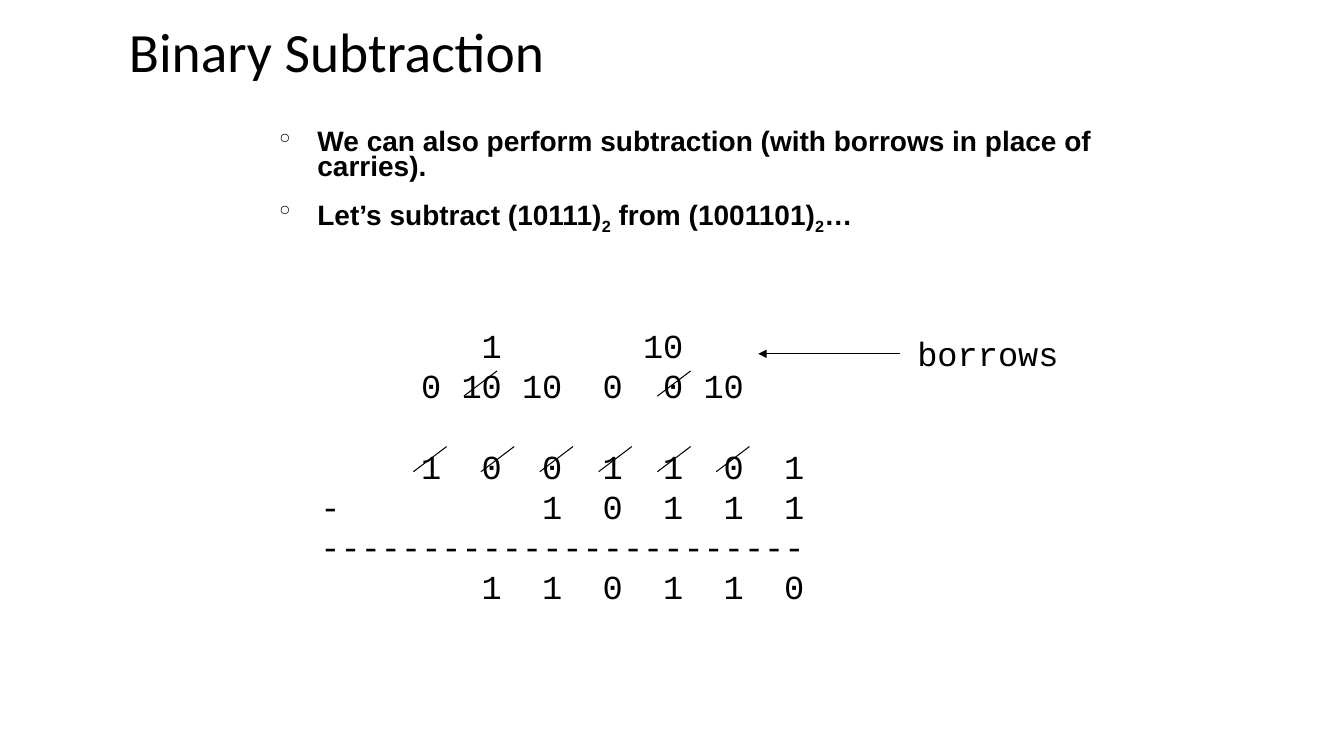
from dataclasses import dataclass

from lxml.etree import SubElement
from pptx import Presentation
from pptx.dml.color import RGBColor
from pptx.enum.shapes import MSO_CONNECTOR as Connector
from pptx.enum.text import MSO_ANCHOR as Anchor
from pptx.oxml.ns import qn
from pptx.util import Inches, Pt

BLACK = "000000"
CHARACTER_WIDTH = 0.2  # one 24 pt Courier New character, in inches
DIGIT_ENDS = range(6, 25, 3)  # character position where each digit column ends
STRIKE_WIDTH, STRIKE_HEIGHT = 0.33, 0.25


@dataclass(frozen=True)
class TextStyle:
    font: str
    size: float
    bold: bool = False


@dataclass(frozen=True)
class Box:
    left: float
    top: float
    width: float
    height: float
    wrap: bool = True


@dataclass(frozen=True)
class StrikeRow:
    top: float
    lefts: tuple[float, ...]


TITLE = TextStyle("Calibri", 39.6)
BODY = TextStyle("Arial", 20, bold=True)
MONO = TextStyle("Courier New", 24)

# Odd pieces are subscripts
BULLETS = (
    ("We can also perform subtraction (with borrows in place of carries).",),
    ("Let’s subtract (10111)", "2", " from (1001101)", "2", "…"),
)
BORROW_ROWS = ("\t\t1\t\t\t10", "\t0\t10\t10\t0\t0\t10")
SUM_ROWS = (
    "\t1\t0\t0\t1\t1\t0\t1",
    "-\t\t\t1\t0\t1\t1\t1",
    "-" * 24,
    "\t\t1\t1\t0\t1\t1\t0",
)
STRIKE_ROWS = (
    StrikeRow(3.68, (4.6, 6.52)),
    StrikeRow(4.43, (4.1, *(4.77 + 7 / 12 * step for step in range(5)))),
)


def color(value: str) -> RGBColor:
    return RGBColor.from_string(value)


def style_run(run, style: TextStyle) -> None:
    run.font.name = style.font
    run.font.size = Pt(style.size)
    run.font.bold = style.bold
    run.font.color.rgb = color(BLACK)


def add_text(slide, box: Box, lines: tuple[str, ...], style: TextStyle):
    shape = slide.shapes.add_textbox(
        Inches(box.left), Inches(box.top), Inches(box.width), Inches(box.height))
    text_frame = shape.text_frame
    text_frame.word_wrap = box.wrap
    text_frame.text = "\n".join(lines)
    for paragraph in text_frame.paragraphs:
        for run in paragraph.runs:
            style_run(run, style)
    return text_frame


def add_bullet(paragraph, pieces: tuple[str, ...]) -> None:
    properties = paragraph._p.get_or_add_pPr()
    properties.set("marL", str(Inches(0.38)))
    properties.set("indent", str(-Inches(0.38)))
    SubElement(properties, qn("a:buChar")).set("char", "°")
    paragraph.line_spacing = 0.75
    for index, piece in enumerate(pieces):
        run = paragraph.add_run()
        run.text = piece
        style_run(run, BODY)
        if index % 2:
            run.font._element.set("baseline", "-25000")


def add_digit_tabs(paragraph) -> None:
    tabs = SubElement(paragraph._p.get_or_add_pPr(), qn("a:tabLst"))
    for end in DIGIT_ENDS:
        tab = SubElement(tabs, qn("a:tab"))
        tab.set("pos", str(Inches(end * CHARACTER_WIDTH)))
        tab.set("algn", "r")


def add_line(slide, x1: float, y1: float, x2: float, y2: float, arrow: bool = False) -> None:
    connector = slide.shapes.add_connector(
        Connector.STRAIGHT, Inches(x1), Inches(y1), Inches(x2), Inches(y2))
    connector.line.color.rgb = color(BLACK)
    connector.line.width = Pt(0.75)
    if arrow:
        SubElement(connector.line._get_or_add_ln(), qn("a:tailEnd")).set("type", "triangle")
    SubElement(connector._element.spPr, qn("a:effectLst"))


def main() -> None:
    presentation = Presentation()
    presentation.slide_width = Inches(13.33)
    presentation.slide_height = Inches(7.5)
    slide = presentation.slides.add_slide(presentation.slide_layouts[6])

    # Title
    title = add_text(slide, Box(1.18, 0.34, 5.02, 0.41), ("Binary Subtraction",), TITLE)
    title.vertical_anchor = Anchor.MIDDLE
    title.paragraphs[0].line_spacing = 0.9

    # Bullets
    body = add_text(slide, Box(2.67, 1.25, 8.5, 1.71), ("",) * len(BULLETS), BODY)
    for paragraph, pieces in zip(body.paragraphs, BULLETS):
        add_bullet(paragraph, pieces)
    body.paragraphs[1].space_before = Pt(15)

    # Worked subtraction, with a one-line gap below the borrows
    working = add_text(slide, Box(3.08, 3.17, 5.04, 2.93), BORROW_ROWS + SUM_ROWS, MONO)
    for paragraph in working.paragraphs:
        add_digit_tabs(paragraph)
    working.paragraphs[len(BORROW_ROWS)].space_before = Pt(28.8)

    # Strikes through the digits that were borrowed from
    for row in STRIKE_ROWS:
        for left in row.lefts:
            add_line(slide, left, row.top + STRIKE_HEIGHT, left + STRIKE_WIDTH, row.top)

    # Borrows label and arrow
    add_text(slide, Box(9, 3.25, 1.6, 0.5, wrap=False), ("borrows",), MONO)
    add_line(slide, 8.93, 3.51, 7.52, 3.51, arrow=True)

    presentation.save("out.pptx")


if __name__ == "__main__":
    main()
